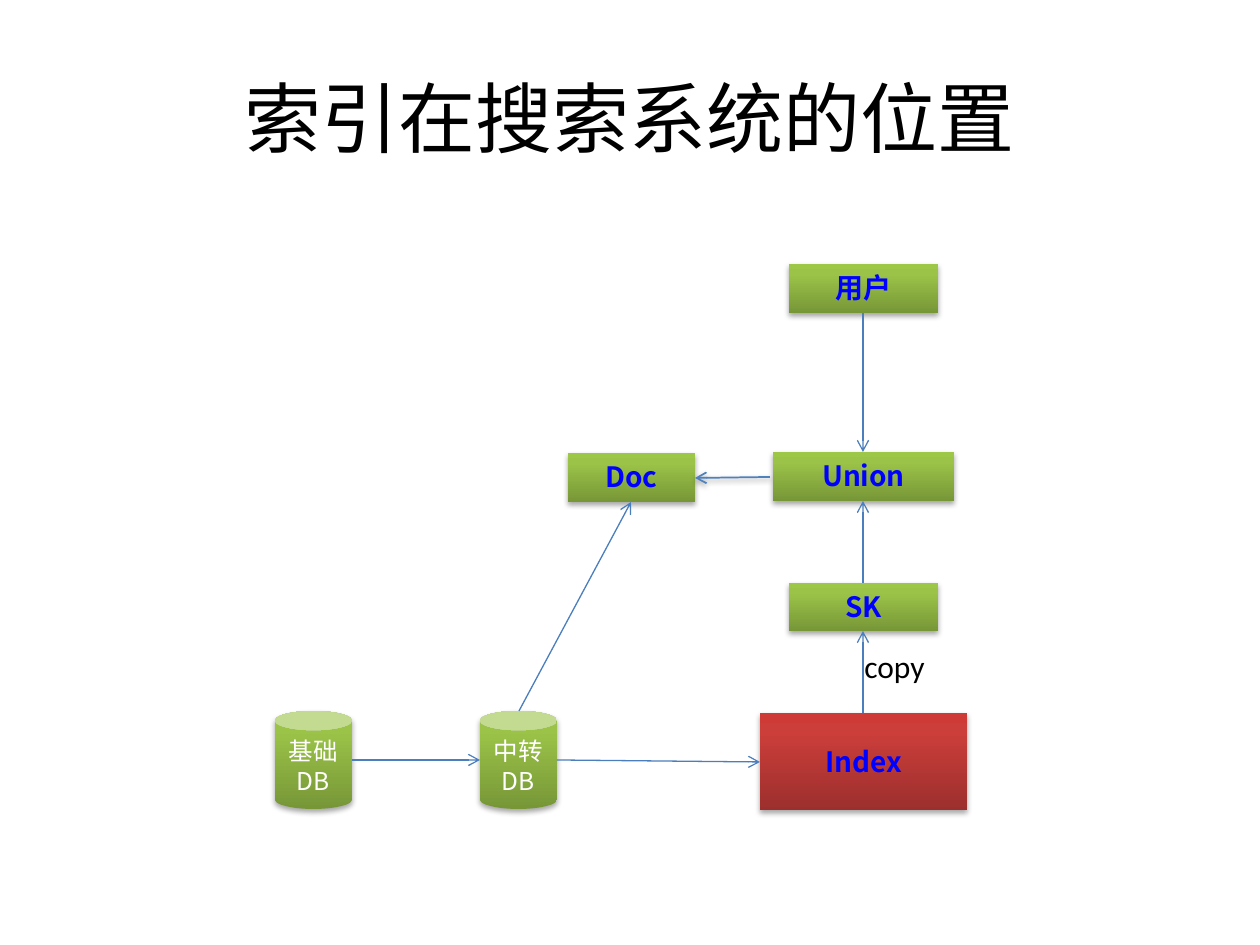
from pptx import Presentation
from pptx.dml.color import RGBColor
from pptx.enum.shapes import MSO_CONNECTOR, MSO_SHAPE
from pptx.enum.text import MSO_ANCHOR, PP_ALIGN
from pptx.oxml import parse_xml
from pptx.oxml.ns import nsdecls
from pptx.util import Pt

PX = 914400 / 126
SANS = "Noto Sans CJK SC"
GREEN = ("779737", "9BC348", "9DC746")
RED = ("9C2F2D", "CB3E3A", "CE3B37")


def px(*lengths):
    return [round(n * PX) for n in lengths]


def write(sp, text, size, font, color, bold=False, align=PP_ALIGN.CENTER, anchor=MSO_ANCHOR.TOP):
    tf = sp.text_frame
    tf.text = text
    tf.word_wrap = True
    tf.vertical_anchor = anchor
    for p in tf.paragraphs:
        p.alignment = align
        for r in p.runs:
            r.font.size = Pt(size)
            r.font.name = font
            r.font.bold = bold
            r.font.color.rgb = RGBColor.from_string(color)
            r._r.get_or_add_rPr().append(parse_xml(f'<a:ea {nsdecls("a")} typeface="{SANS}"/>'))


prs = Presentation()
prs.slide_width, prs.slide_height = px(1260, 945)
s = prs.slides.add_slide(prs.slide_layouts[6])

title = s.shapes.add_textbox(*px(63, 38, 1134, 157))
write(title, "索引在搜索系统的位置", 44, "Calibri", "000000", anchor=MSO_ANCHOR.MIDDLE)

nodes = [
    ("中转\nDB", MSO_SHAPE.CAN, 480, 711, 77, 98, GREEN),
    ("基础\nDB", MSO_SHAPE.CAN, 275, 711, 77, 98, GREEN),
    ("用户", MSO_SHAPE.RECTANGLE, 789, 264, 149, 49, GREEN),
    ("Union", MSO_SHAPE.RECTANGLE, 773, 452, 181, 49, GREEN),
    ("Doc", MSO_SHAPE.RECTANGLE, 568, 453, 127, 49, GREEN),
    ("SK", MSO_SHAPE.RECTANGLE, 789, 583, 149, 48, GREEN),
    ("Index", MSO_SHAPE.RECTANGLE, 760, 713, 207, 97, RED),
]
for text, kind, x, y, w, h, colors in nodes:
    sp = s.shapes.add_shape(kind, *px(x, y, w, h))
    sp.line.fill.background()
    stops = "".join(
        f'<a:gs pos="{pos}000"><a:srgbClr val="{c}"/></a:gs>' for pos, c in zip((0, 80, 100), colors)
    )
    sp.line._ln.addprevious(parse_xml(
        f'<a:gradFill {nsdecls("a")} rotWithShape="1"><a:gsLst>{stops}</a:gsLst>'
        '<a:lin ang="16200000" scaled="0"/></a:gradFill>'
    ))
    sp.line._ln.addnext(parse_xml(
        f'<a:effectLst {nsdecls("a")}><a:outerShdw blurRad="40000" dist="23000" dir="5400000" '
        'rotWithShape="0"><a:srgbClr val="000000"><a:alpha val="35000"/></a:srgbClr>'
        '</a:outerShdw></a:effectLst>'
    ))
    if kind == MSO_SHAPE.CAN:
        write(sp, text, 14, SANS, "FFFFFF")
    else:
        anchor = MSO_ANCHOR.MIDDLE if text == "Index" else MSO_ANCHOR.TOP
        write(sp, text, 16, SANS, "0000FF", True, anchor=anchor)

label = s.shapes.add_textbox(*px(852, 641, 116, 50))
write(label, "copy", 18, "Calibri", "000000", align=PP_ALIGN.LEFT)

UNION_SHADOW = (
    '<a:outerShdw blurRad="40000" dist="20000" dir="5400000" rotWithShape="0">'
    '<a:srgbClr val="000000"><a:alpha val="38000"/></a:srgbClr></a:outerShdw>'
)
arrows = [
    (770, 477, 695, 478, "4F81BD", 1, UNION_SHADOW),
    (863, 313, 863, 452, "4B7EBC", 0.75, ""),
    (352, 760, 480, 760, "4B7EBC", 0.75, ""),
    (863, 583, 863, 501, "4B7EBC", 0.75, ""),
    (863, 713, 863, 631, "4B7EBC", 0.75, ""),
    (557, 760, 760, 762, "4B7EBC", 0.75, ""),
    (519, 711, 631, 502, "4B7EBC", 0.75, ""),
]
for x1, y1, x2, y2, color, width, effect in arrows:
    arrow = s.shapes.add_connector(MSO_CONNECTOR.STRAIGHT, *px(x1, y1, x2, y2))
    arrow.line.color.rgb = RGBColor.from_string(color)
    arrow.line.width = Pt(width)
    ln = arrow.line._ln
    ln.append(parse_xml(f'<a:tailEnd {nsdecls("a")} type="arrow"/>'))
    ln.addnext(parse_xml(f'<a:effectLst {nsdecls("a")}>{effect}</a:effectLst>'))

prs.save("out.pptx")
